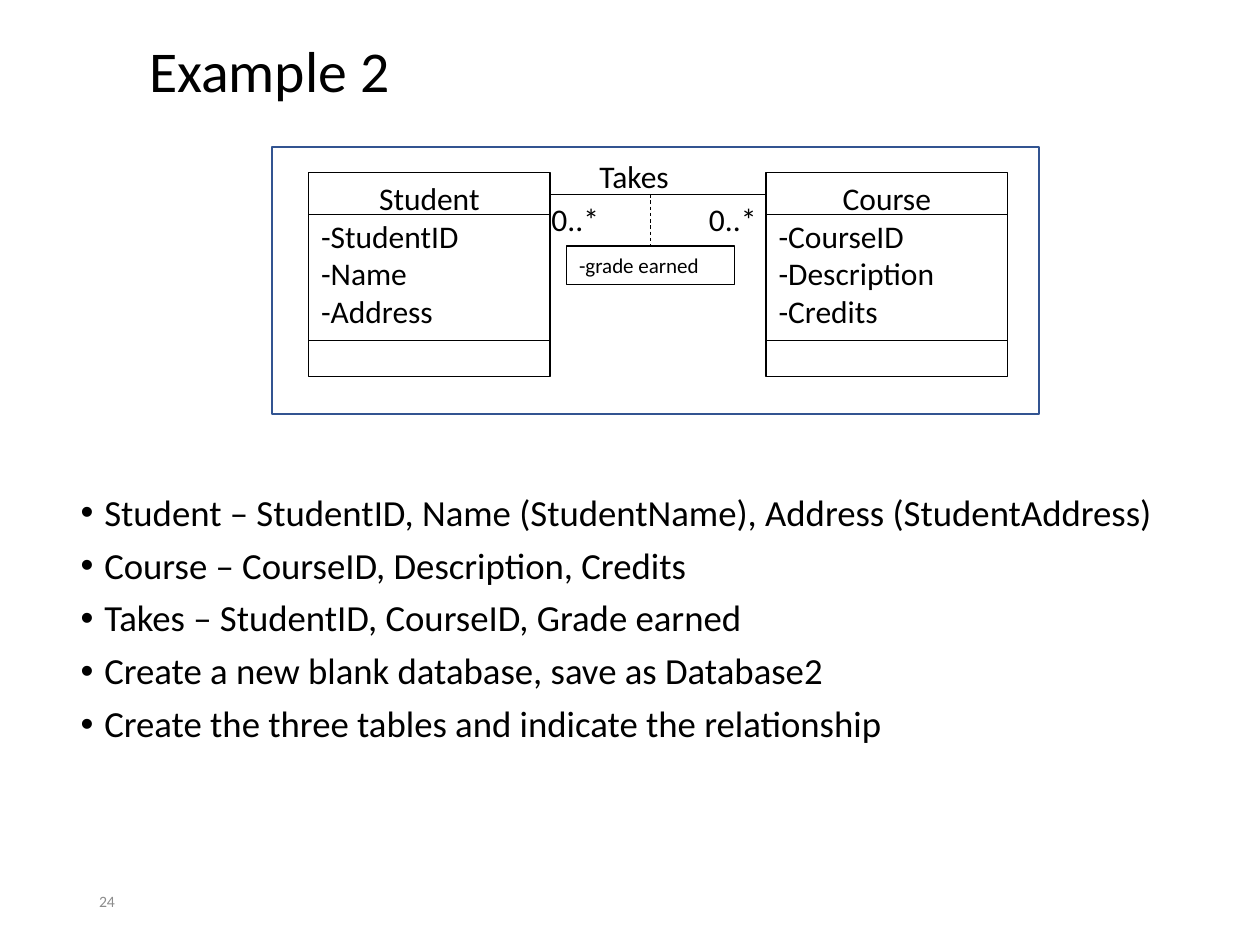
from dataclasses import dataclass

from lxml import etree
from pptx import Presentation
from pptx.dml.color import RGBColor
from pptx.enum import dml, shapes, text
from pptx.oxml.ns import qn
from pptx.util import Pt


@dataclass(frozen=True)
class Theme:
    font: str = "Calibri"
    ink: str = "000000"
    paper: str = "FFFFFF"
    frame: str = "325491"
    muted: str = "8C8C8C"
    title: float = 33
    body: float = 21
    label: float = 18
    small: float = 12
    number: float = 9


@dataclass(frozen=True)
class UmlClass:
    name: str
    attributes: tuple[str, ...]
    left: float


@dataclass(frozen=True)
class Label:
    words: str
    left: float
    top: float
    width: float


T = Theme()
CLASS_TOP, CLASS_W, CLASS_H = 98.6, 138, 116.6
DIVIDERS = (122.4, 194.4)
LINK_Y = 110.9

STUDENT = UmlClass("Student", ("-StudentID", "-Name", "-Address"), 176.4)
COURSE = UmlClass("Course", ("-CourseID", "-Description", "-Credits"), 437.8)
LABELS = (
    Label("Takes", 335.5, 86.4, 72),
    Label("0..*", 308, LINK_Y, 46),
    Label("0..*", 398, LINK_Y, 46),
)
BULLETS = (
    "Student – StudentID, Name (StudentName), Address (StudentAddress)",
    "Course – CourseID, Description, Credits",
    "Takes – StudentID, CourseID, Grade earned",
    "Create a new blank database, save as Database2",
    "Create the three tables and indicate the relationship",
)


def write(tf, words: str, *, size: float, color: str = T.ink, align=text.PP_ALIGN.LEFT,
          first: bool = True, spacing: float = 1, before: float = 0, bullet: bool = False):
    """Put one formatted paragraph in a text frame."""
    tf.word_wrap = True
    p = tf.paragraphs[0] if first else tf.add_paragraph()
    p.alignment, p.line_spacing, p.space_before = align, spacing, Pt(before)
    if bullet:
        pPr = p._p.get_or_add_pPr()
        pPr.set("marL", str(Pt(13.5)))
        pPr.set("indent", str(Pt(-13.5)))
        etree.SubElement(pPr, qn("a:buFont"), typeface="Arial")
        etree.SubElement(pPr, qn("a:buChar"), char="•")
    r = p.add_run()
    r.text = words
    r.font.name, r.font.size = T.font, Pt(size)
    r.font.color.rgb = RGBColor.from_string(color)


def add_box(parent, left: float, top: float, width: float, height: float,
            line: str = T.ink, weight: float = 0.75, fill: str | None = None):
    sp = parent.add_shape(shapes.MSO_SHAPE.RECTANGLE, Pt(left), Pt(top), Pt(width), Pt(height))
    sp.shadow.inherit = False
    if fill:
        sp.fill.solid()
        sp.fill.fore_color.rgb = RGBColor.from_string(fill)
    else:
        sp.fill.background()
    sp.line.color.rgb = RGBColor.from_string(line)
    sp.line.width = Pt(weight)
    sp.text_frame.vertical_anchor = text.MSO_ANCHOR.TOP
    return sp


def add_line(parent, x1: float, y1: float, x2: float, y2: float):
    cx = parent.add_connector(shapes.MSO_CONNECTOR.STRAIGHT, Pt(x1), Pt(y1), Pt(x2), Pt(y2))
    cx.line.color.rgb = RGBColor.from_string(T.ink)
    cx.line.width = Pt(0.5)
    etree.SubElement(cx._element.spPr, qn("a:effectLst"))
    return cx


def add_text_box(s, left: float, top: float, width: float, height: float):
    return s.shapes.add_textbox(Pt(left), Pt(top), Pt(width), Pt(height)).text_frame


def add_class(s, uml: UmlClass) -> None:
    """Class box with name, attributes and an empty operations row."""
    group = s.shapes.add_group_shape().shapes
    tf = add_box(group, uml.left, CLASS_TOP, CLASS_W, CLASS_H).text_frame
    write(tf, uml.name, size=T.label, align=text.PP_ALIGN.CENTER)
    for attribute in uml.attributes:
        write(tf, attribute, size=T.label, first=False)
    for y in DIVIDERS:
        add_line(group, uml.left, y, uml.left + CLASS_W, y)


def main() -> None:
    prs = Presentation()
    prs.slide_width, prs.slide_height = Pt(720), Pt(540)
    s = prs.slides.add_slide(prs.slide_layouts[5])

    # Title
    title = s.shapes.title
    title.left, title.top, title.width, title.height = Pt(78), Pt(12), Pt(606), Pt(60)
    title.text_frame.vertical_anchor = text.MSO_ANCHOR.MIDDLE
    write(title.text_frame, "Example 2", size=T.title, spacing=0.9)

    # Bullets
    tf = add_text_box(s, 39, 279, 666, 160)
    for i, words in enumerate(BULLETS):
        write(tf, words, size=T.body, first=i == 0, spacing=0.9,
              before=7.5 if i else 0, bullet=True)

    # Slide number
    tf = add_text_box(s, 49.5, 500.5, 162, 28.8)
    tf.vertical_anchor = text.MSO_ANCHOR.MIDDLE
    write(tf, "24", size=T.number, color=T.muted)

    # Diagram frame and classes
    add_box(s.shapes, 155.6, 84, 438, 152.6, line=T.frame, weight=1, fill=T.paper)
    for uml in (STUDENT, COURSE):
        add_class(s, uml)

    # Association with its labels
    add_line(s.shapes, STUDENT.left + CLASS_W, LINK_Y, COURSE.left, LINK_Y)
    for label in LABELS:
        tf = add_text_box(s, label.left, label.top, label.width, 28.8)
        write(tf, label.words, size=T.label)

    # Association class
    grade = add_box(s.shapes, 323.8, 140.6, 96, 21.8)
    write(grade.text_frame, "-grade earned", size=T.small)
    link = add_line(s.shapes, 371.8, LINK_Y, 371.8, 140.6)
    link.end_connect(grade, 0)
    link.line.dash_style = dml.MSO_LINE.DASH

    prs.save("out.pptx")


if __name__ == "__main__":
    main()
